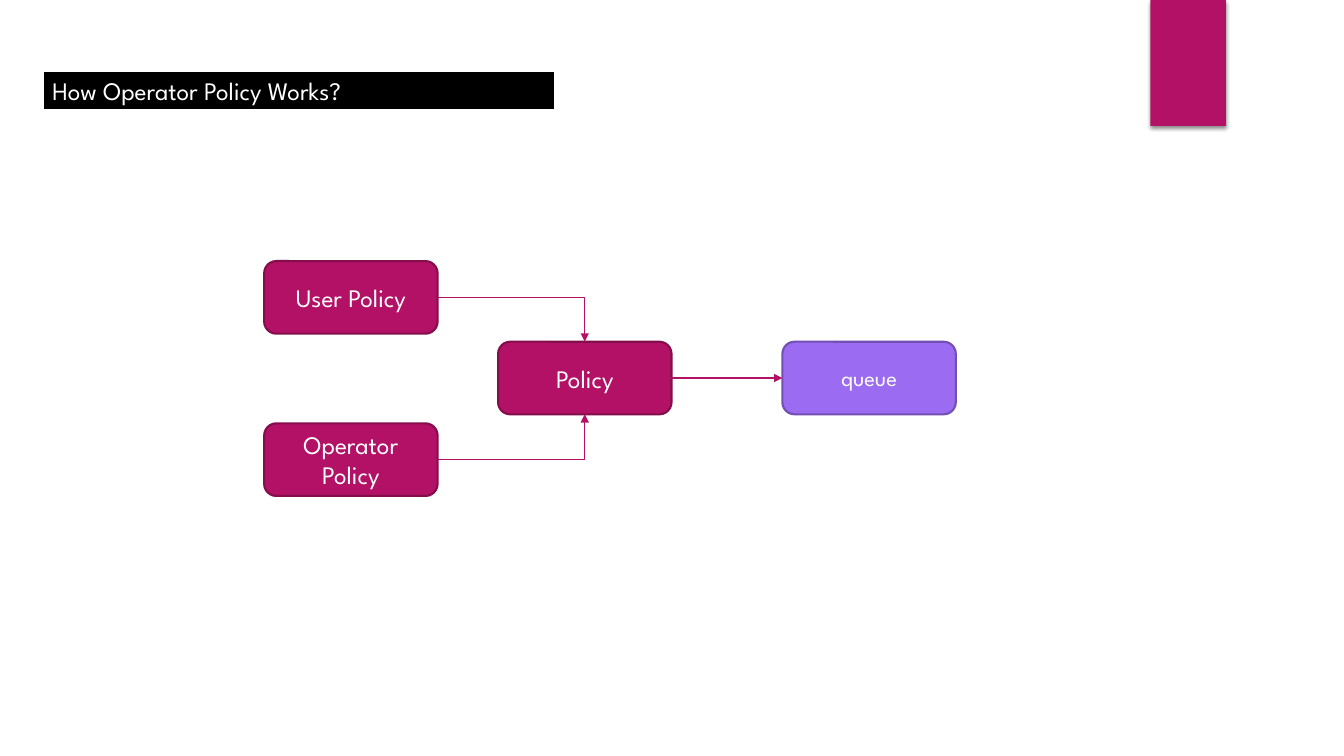
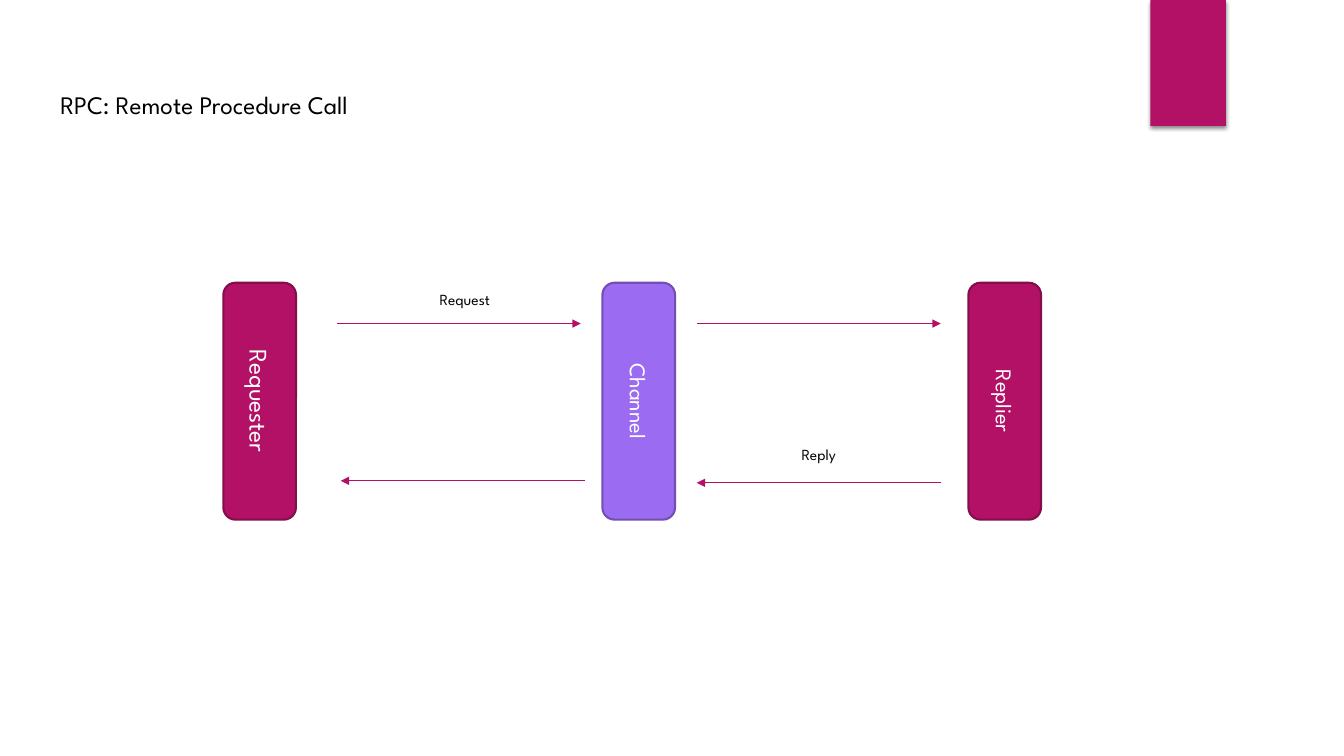
"""Build two messaging slides: operator policies and remote procedure calls."""
from pptx import Presentation
from pptx import util as u
from pptx.dml.color import RGBColor
from pptx.enum import shapes, text
from pptx.oxml.ns import qn
from lxml import etree

COLOURS = {
    "magenta": "B31166",
    "magenta_edge": "840D4B",
    "violet": "9B6BF2",
    "violet_edge": "734FB3",
    "black": "000000",
    "white": "FFFFFF",
}
FONT = "League Spartan"
TITLE_SIZE = 18
LABEL_SIZE = 11
TOP, BOTTOM, LEFT, RIGHT = 0, 2, 1, 3
NODE_WIDTH, NODE_HEIGHT = 1.72, 0.72
BAR_LENGTH, BAR_TOP = 2.35, 3.62
ARROW_LENGTH = 2.42
CENTRE, START = text.PP_ALIGN.CENTER, text.PP_ALIGN.LEFT


def colour(name):
    return RGBColor.from_string(COLOURS[name])


def set_all(target, values):
    for name, value in values.items():
        setattr(target, name, value)


def write(shape, words, size, ink, align, frame_format):
    frame = shape.text_frame
    set_all(frame, {"word_wrap": True, **frame_format})
    para = frame.paragraphs[0]
    para.alignment = align
    span = para.add_run()
    span.text = words
    set_all(span.font, {"name": FONT, "size": u.Pt(size)})
    span.font.color.rgb = colour(ink)


def add_box(page, kind, place, fill, edge=None, weight=1.5):
    box = page.shapes.add_shape(kind, *map(u.Inches, place))
    box.shadow.inherit = False
    box.fill.solid()
    box.fill.fore_color.rgb = colour(fill)
    if edge:
        box.line.color.rgb = colour(edge)
        box.line.width = u.Pt(weight)
    else:
        box.line.fill.background()
    return box


def add_node(page, words, place, size=18, tint="magenta", rotation=0):
    kind = shapes.MSO_SHAPE.ROUNDED_RECTANGLE
    box = add_box(page, kind, place, tint, f"{tint}_edge")
    box.rotation = rotation
    write(box, words, size, "white", CENTRE,
          {"vertical_anchor": text.MSO_ANCHOR.MIDDLE})
    return box


def add_text(page, words, place, size, align):
    box = page.shapes.add_textbox(*map(u.Inches, place))
    write(box, words, size, "black", align,
          {"auto_size": text.MSO_AUTO_SIZE.SHAPE_TO_FIT_TEXT})


def add_arrow(page, start=(0, 0), end=(0, 0), kind=shapes.MSO_CONNECTOR.STRAIGHT):
    arrow = page.shapes.add_connector(kind, *map(u.Inches, (*start, *end)))
    arrow.line.color.rgb = colour("magenta")
    arrow.line.width = u.Pt(0.75)
    properties = arrow.element.spPr
    etree.SubElement(properties.find(qn("a:ln")), qn("a:tailEnd"), type="triangle")
    etree.SubElement(properties, qn("a:effectLst"))
    return arrow


def link(page, source, source_side, target, target_side):
    straight = {source_side, target_side} == {LEFT, RIGHT}
    kinds = shapes.MSO_CONNECTOR
    arrow = add_arrow(page, kind=kinds.STRAIGHT if straight else kinds.ELBOW)
    arrow.begin_connect(source, source_side)
    arrow.end_connect(target, target_side)
    if not straight:
        arrow.element.spPr.find(qn("a:prstGeom")).set("prst", "bentConnector2")


def add_shared_ribbon(page):
    ribbon = add_box(page, shapes.MSO_SHAPE.RECTANGLE,
                     (11.41, 0, 0.75, 1.25), "magenta")
    effects = ribbon.element.spPr.find(qn("a:effectLst"))
    shadow = etree.SubElement(effects, qn("a:outerShdw"), blurRad=str(u.Pt(3)),
                              dist=str(u.Pt(2)), dir="5400000", rotWithShape="0")
    tone = etree.SubElement(shadow, qn("a:srgbClr"), val=COLOURS["black"])
    etree.SubElement(tone, qn("a:alpha"), val="45000")
    page.slide_layout.shapes.element.append(ribbon.element)


def build_policy(page):
    title = add_box(page, shapes.MSO_SHAPE.RECTANGLE, (0.42, 0.7, 5.09, 0.4),
                    "black", "white", 2.25)
    write(title, "How Operator Policy Works?", TITLE_SIZE, "white", START,
          {"auto_size": text.MSO_AUTO_SIZE.SHAPE_TO_FIT_TEXT,
           "vertical_anchor": text.MSO_ANCHOR.TOP})
    size = (NODE_WIDTH, NODE_HEIGHT)
    queue = add_node(page, "queue", (7.76, 3.39, *size), 16, "violet")
    user = add_node(page, "User Policy", (2.62, 2.59, *size))
    operator = add_node(page, "Operator Policy", (2.62, 4.2, *size))
    policy = add_node(page, "Policy", (4.94, 3.39, *size))
    link(page, user, RIGHT, policy, TOP)
    link(page, operator, RIGHT, policy, BOTTOM)
    link(page, policy, RIGHT, queue, LEFT)


def build_rpc(page):
    add_text(page, "RPC: Remote Procedure Call", (0.5, 0.84, 3.96, 0.4),
             TITLE_SIZE, START)
    for words, left, size, tint in (("Requester", 1.4, 18, "magenta"),
                                    ("Channel", 5.16, 16, "violet"),
                                    ("Replier", 8.79, 16, "magenta")):
        add_node(page, words, (left, BAR_TOP, BAR_LENGTH, NODE_HEIGHT),
                 size, tint, 90)
    for start, y, direction in ((3.34, 3.21, 1), (6.91, 3.21, 1),
                                (9.33, 4.79, -1), (5.8, 4.77, -1)):
        add_arrow(page, (start, y), (start + direction * ARROW_LENGTH, y))
    for words, left, top in (("Request", 4.2, 2.83), ("Reply", 7.71, 4.37)):
        add_text(page, words, (left, top, 0.82, 0.29), LABEL_SIZE, CENTRE)


def main():
    deck = Presentation()
    set_all(deck, {"slide_width": u.Inches(13.33), "slide_height": u.Inches(7.5)})
    blank = deck.slide_layouts[6]
    pages = [deck.slides.add_slide(blank) for _ in range(2)]
    add_shared_ribbon(pages[0])
    for page, build in zip(pages, (build_policy, build_rpc)):
        build(page)
    deck.save("out.pptx")


if __name__ == "__main__":
    main()
